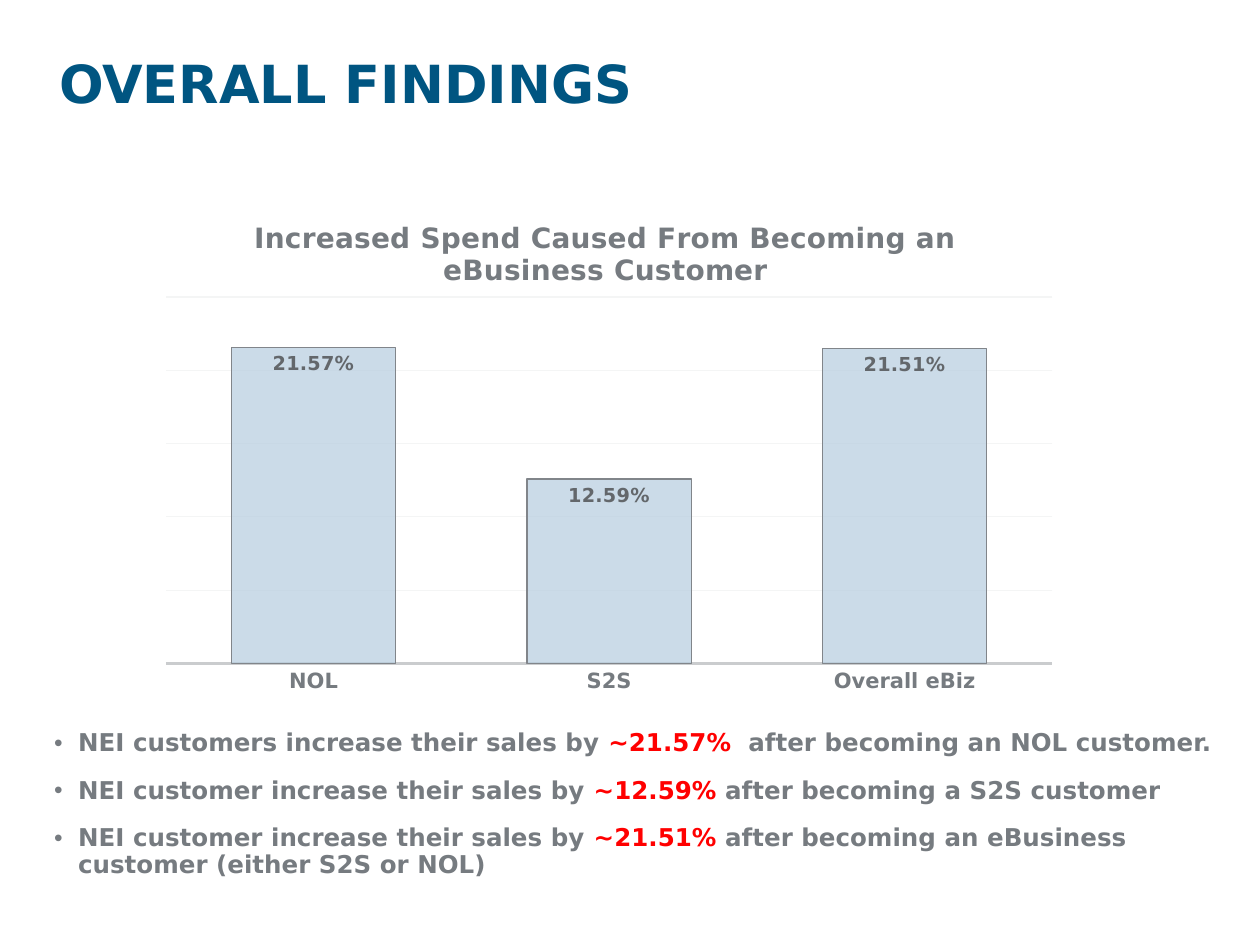
from dataclasses import dataclass

from lxml.etree import SubElement
from pptx import Presentation
from pptx.chart.data import CategoryChartData
from pptx.dml.color import RGBColor
from pptx.enum.chart import XL_CHART_TYPE, XL_LABEL_POSITION, XL_TICK_LABEL_POSITION, XL_TICK_MARK
from pptx.enum.text import MSO_ANCHOR, MSO_AUTO_SIZE, PP_ALIGN
from pptx.oxml import parse_xml
from pptx.oxml.ns import nsdecls, qn
from pptx.util import Inches, Pt


@dataclass(frozen=True)
class Theme:
    font: str = "DejaVu Sans"
    title: str = "005581"
    text: str = "767B80"
    accent: str = "FF0000"
    bar: str = "B6CDDF"
    bar_line: str = "81858A"
    label: str = "63676B"
    axis: str = "CACCCE"
    grid: str = "F4F5F5"
    title_size: float = 30
    chart_title_size: float = 16
    body_size: float = 14
    category_size: float = 12
    label_size: float = 11


@dataclass(frozen=True)
class Finding:
    before: str
    figure: str
    after: str


THEME = Theme()
FINDINGS = [
    Finding("NEI customers increase their sales by ", "~21.57%  ", "after becoming an NOL customer. "),
    Finding("NEI customer increase their sales by ", "~12.59% ", "after becoming a S2S customer"),
    Finding("NEI customer increase their sales by ", "~21.51% ",
            "after becoming an eBusiness customer (either S2S or NOL)"),
]
INCREASES = {"NOL": 0.2157, "S2S": 0.1259, "Overall eBiz": 0.2151}


def set_font(font, size: float, color: str) -> None:
    font.name = THEME.font
    font.size = Pt(size)
    font.bold = True
    font.color.rgb = RGBColor.from_string(color)


def add_run(p, text: str, size: float, color: str):
    r = p.add_run()
    r.text = text
    set_font(r.font, size, color)
    return r


def set_line(line, color: str, width: float) -> None:
    line.color.rgb = RGBColor.from_string(color)
    line.width = Pt(width)


def place(sp, left: float, top: float, width: float, height: float):
    sp.left, sp.top, sp.width, sp.height = map(Inches, (left, top, width, height))
    tf = sp.text_frame
    tf.word_wrap = True
    tf.auto_size = MSO_AUTO_SIZE.NONE
    tf.vertical_anchor = MSO_ANCHOR.TOP
    return tf


def add_bullet(p) -> None:
    pPr = p._p.get_or_add_pPr()
    pPr.set("marL", str(Inches(0.19)))
    pPr.set("indent", str(-Inches(0.19)))
    SubElement(pPr, qn("a:buFont")).set("typeface", "Arial")
    SubElement(pPr, qn("a:buChar")).set("char", "•")


def layout_xml(inner: bool, **values: float):
    target = '<c:layoutTarget val="inner"/>' if inner else ""
    modes = "".join(f'<c:{k}Mode val="edge"/>' for k in "xy")
    sizes = "".join(f'<c:{k} val="{v}"/>' for k, v in values.items())
    return parse_xml(f'<c:layout {nsdecls("c")}><c:manualLayout>{target}{modes}{sizes}'
                     "</c:manualLayout></c:layout>")


def set_layout(parent, layout, index: int) -> None:
    for old in parent.findall(qn("c:layout")):
        parent.remove(old)
    parent.insert(index, layout)


def add_spend_chart(s) -> None:
    data = CategoryChartData(number_format="0.00%")
    data.categories = list(INCREASES)
    data.add_series("Series 1", list(INCREASES.values()))
    chart = s.shapes.add_chart(XL_CHART_TYPE.COLUMN_CLUSTERED, Inches(1.17), Inches(1.55),
                               Inches(7.33), Inches(4.04), data).chart
    chart.has_legend = False
    chart.font.name = THEME.font
    chart.font.size = Pt(10)

    # Chart title
    chart.has_title = True
    p = chart.chart_title.text_frame.paragraphs[0]
    r = add_run(p, "Increased Spend Caused From Becoming an eBusiness Customer",
                THEME.chart_title_size, THEME.text)
    r.font._element.set("spc", "30")
    chart.chart_title.include_in_layout = False
    set_layout(chart.chart_title._element, layout_xml(False, x=0.11, y=0.04), 1)
    set_layout(chart._chartSpace.chart.plotArea,
               layout_xml(True, x=0.02, y=0.2, w=0.96, h=0.72), 0)

    # Axes
    cat = chart.category_axis
    cat.major_tick_mark = XL_TICK_MARK.NONE
    cat.has_major_gridlines = False
    set_font(cat.tick_labels.font, THEME.category_size, THEME.text)
    set_line(cat.format.line, THEME.axis, 1.25)
    val = chart.value_axis
    val.minimum_scale, val.maximum_scale, val.major_unit = 0, 0.25, 0.05
    val.tick_label_position = XL_TICK_LABEL_POSITION.NONE
    val.visible = False
    val.has_major_gridlines = True
    set_line(val.major_gridlines.format.line, THEME.grid, 0.75)

    # Columns and their labels
    plot = chart.plots[0]
    plot.gap_width, plot.overlap, plot.vary_by_categories = 80, 25, False
    series = plot.series[0]
    fill = series.format.fill
    fill.solid()
    fill.fore_color.rgb = RGBColor.from_string(THEME.bar)
    color = series._element.find(".//" + qn("a:srgbClr"))
    SubElement(color, qn("a:alpha")).set("val", "70000")
    set_line(series.format.line, THEME.bar_line, 0.75)
    labels = series.data_labels
    labels.show_value = True
    labels.number_format, labels.number_format_is_linked = "0.00%", False
    labels.position = XL_LABEL_POSITION.INSIDE_END
    set_font(labels.font, THEME.label_size, THEME.label)


prs = Presentation()
prs.slide_width, prs.slide_height = Inches(10), Inches(7.5)
s = prs.slides.add_slide(prs.slide_layouts[1])

# Title
tf = place(s.shapes.title, 0.47, 0.46, 6.2, 0.62)
tf.margin_left = tf.margin_top = tf.margin_right = tf.margin_bottom = 0
p = tf.paragraphs[0]
p.alignment = PP_ALIGN.LEFT
p.line_spacing = 0.9
add_run(p, "OVERALL FINDINGS", THEME.title_size, THEME.title)

# Findings
tf = place(s.placeholders[1], 0.33, 5.75, 9.5, 1.33)
for i, finding in enumerate(FINDINGS):
    p = tf.add_paragraph() if i else tf.paragraphs[0]
    p.line_spacing = 0.9
    p.space_before = Pt(12)
    add_bullet(p)
    add_run(p, finding.before, THEME.body_size, THEME.text)
    add_run(p, finding.figure, THEME.body_size, THEME.accent)
    add_run(p, finding.after, THEME.body_size, THEME.text)

# Chart
add_spend_chart(s)

prs.save("out.pptx")
